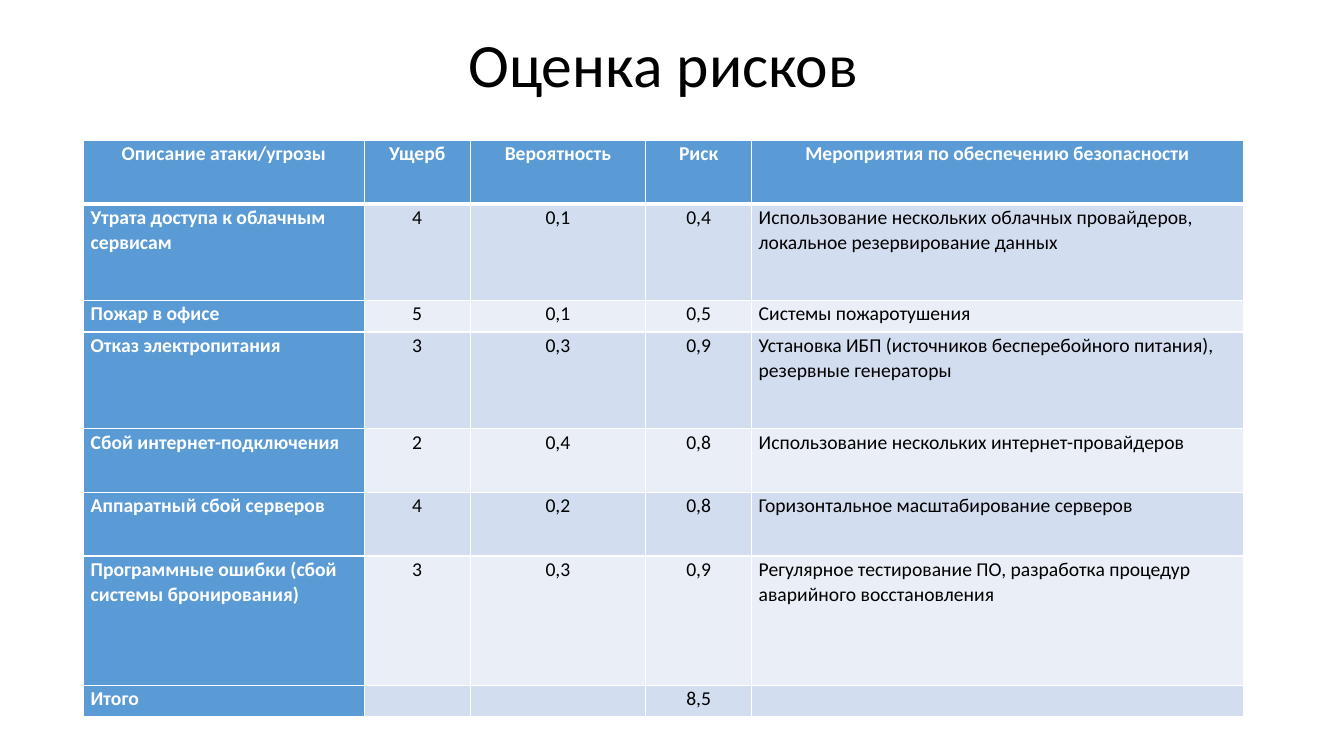
from dataclasses import dataclass

from lxml.etree import SubElement
from pptx import Presentation
from pptx.dml.color import RGBColor
from pptx.enum.text import MSO_ANCHOR, MSO_AUTO_SIZE, PP_ALIGN
from pptx.oxml.ns import qn
from pptx.util import Inches, Pt


@dataclass(frozen=True)
class Theme:
    font: str = "Calibri"
    title_size: int = 44
    table_size: int = 14
    ink: str = "000000"
    paper: str = "FFFFFF"
    accent: str = "5B9BD5"
    bands: tuple = ("D2DEEF", "EAEFF7")
    rule: int = 1
    header_rule: int = 3


THEME = Theme()

HEADINGS = ("Описание атаки/угрозы", "Ущерб", "Вероятность", "Риск",
            "Мероприятия по обеспечению безопасности")
RISKS = (
    ("Утрата доступа к облачным сервисам", "4", "0,1", "0,4",
     "Использование нескольких облачных провайдеров, локальное резервирование данных"),
    ("Пожар в офисе", "5", "0,1", "0,5", "Системы пожаротушения"),
    ("Отказ электропитания", "3", "0,3", "0,9",
     "Установка ИБП (источников бесперебойного питания), резервные генераторы"),
    ("Сбой интернет-подключения", "2", "0,4", "0,8",
     "Использование нескольких интернет-провайдеров"),
    ("Аппаратный сбой серверов", "4", "0,2", "0,8",
     "Горизонтальное масштабирование серверов"),
    ("Программные ошибки (сбой системы бронирования)", "3", "0,3", "0,9",
     "Регулярное тестирование ПО, разработка процедур аварийного восстановления"),
)
TOTAL = ("Итого", "", "", "8,5", "")
COLUMN_WIDTHS = (2.78, 1.05, 1.74, 1.05, 4.87)
ROW_HEIGHTS = (0.63, 0.96, 0.31, 0.96, 0.63, 0.63, 1.28, 0.31)


def style_runs(paragraph, size, color, bold=False):
    for run in paragraph.runs:
        run.font.name = THEME.font
        run.font.size = Pt(size)
        run.font.bold = bold
        run.font.color.rgb = RGBColor.from_string(color)


def add_title(slide, text, left, top, width, height):
    title = slide.shapes.title
    title.left, title.top = Inches(left), Inches(top)
    title.width, title.height = Inches(width), Inches(height)
    frame = title.text_frame
    frame.text = text
    frame.auto_size = MSO_AUTO_SIZE.NONE
    frame.vertical_anchor = MSO_ANCHOR.MIDDLE
    heading = frame.paragraphs[0]
    heading.alignment = PP_ALIGN.CENTER
    heading.line_spacing = 0.9
    style_runs(heading, THEME.title_size, THEME.ink)


def set_borders(cell, row):
    """Rule the cell on all sides, heavier between the header and the body."""
    weights = {"lnL": THEME.rule, "lnR": THEME.rule,
               "lnT": THEME.header_rule if row == 1 else THEME.rule,
               "lnB": THEME.header_rule if row == 0 else THEME.rule}
    properties = cell._tc.get_or_add_tcPr()
    for side, weight in weights.items():
        line = SubElement(properties, qn(f"a:{side}"), w=str(Pt(weight)))
        SubElement(SubElement(line, qn("a:solidFill")), qn("a:srgbClr"), val=THEME.paper)


def fill_cell(cell, text, row, column):
    is_header = row == 0
    is_label = is_header or column == 0
    is_centred = is_header or column in (1, 2, 3)

    set_borders(cell, row)
    cell.fill.solid()
    cell.fill.fore_color.rgb = RGBColor.from_string(
        THEME.accent if is_label else THEME.bands[(row - 1) % 2])
    cell.margin_left = cell.margin_right = Inches(0.07)
    cell.margin_top = cell.margin_bottom = 0
    cell.vertical_anchor = MSO_ANCHOR.TOP

    paragraph = cell.text_frame.paragraphs[0]
    paragraph.alignment = PP_ALIGN.CENTER if is_centred else PP_ALIGN.LEFT
    paragraph.line_spacing = 1.07
    if is_header:
        paragraph.space_after = Pt(6)
    if text:
        paragraph.text = text
        style_runs(paragraph, THEME.table_size, THEME.paper if is_label else THEME.ink, is_label)
    else:
        # Keeps an empty cell from stretching its row.
        SubElement(paragraph._p, qn("a:endParaRPr"), sz=str(THEME.table_size * 100))


def add_risk_table(slide, left, top, width, height):
    rows = (HEADINGS, *RISKS, TOTAL)
    table = slide.shapes.add_table(len(rows), len(HEADINGS), Inches(left), Inches(top),
                                   Inches(width), Inches(height)).table
    table.first_col = True
    for column, share in zip(table.columns, COLUMN_WIDTHS):
        column.width = Inches(width * share / sum(COLUMN_WIDTHS))
    for row, share in zip(table.rows, ROW_HEIGHTS):
        row.height = Inches(height * share / sum(ROW_HEIGHTS))
    for row, texts in enumerate(rows):
        for column, text in enumerate(texts):
            fill_cell(table.cell(row, column), text, row, column)


def main():
    deck = Presentation()
    deck.slide_width, deck.slide_height = Inches(13.33), Inches(7.5)
    slide = deck.slides.add_slide(deck.slide_layouts.get_by_name("Title Only"))
    add_title(slide, "Оценка рисков", 0.83, 0.17, 11.5, 1.01)
    add_risk_table(slide, 0.83, 1.39, 11.5, 5.72)
    deck.save("out.pptx")


if __name__ == "__main__":
    main()
